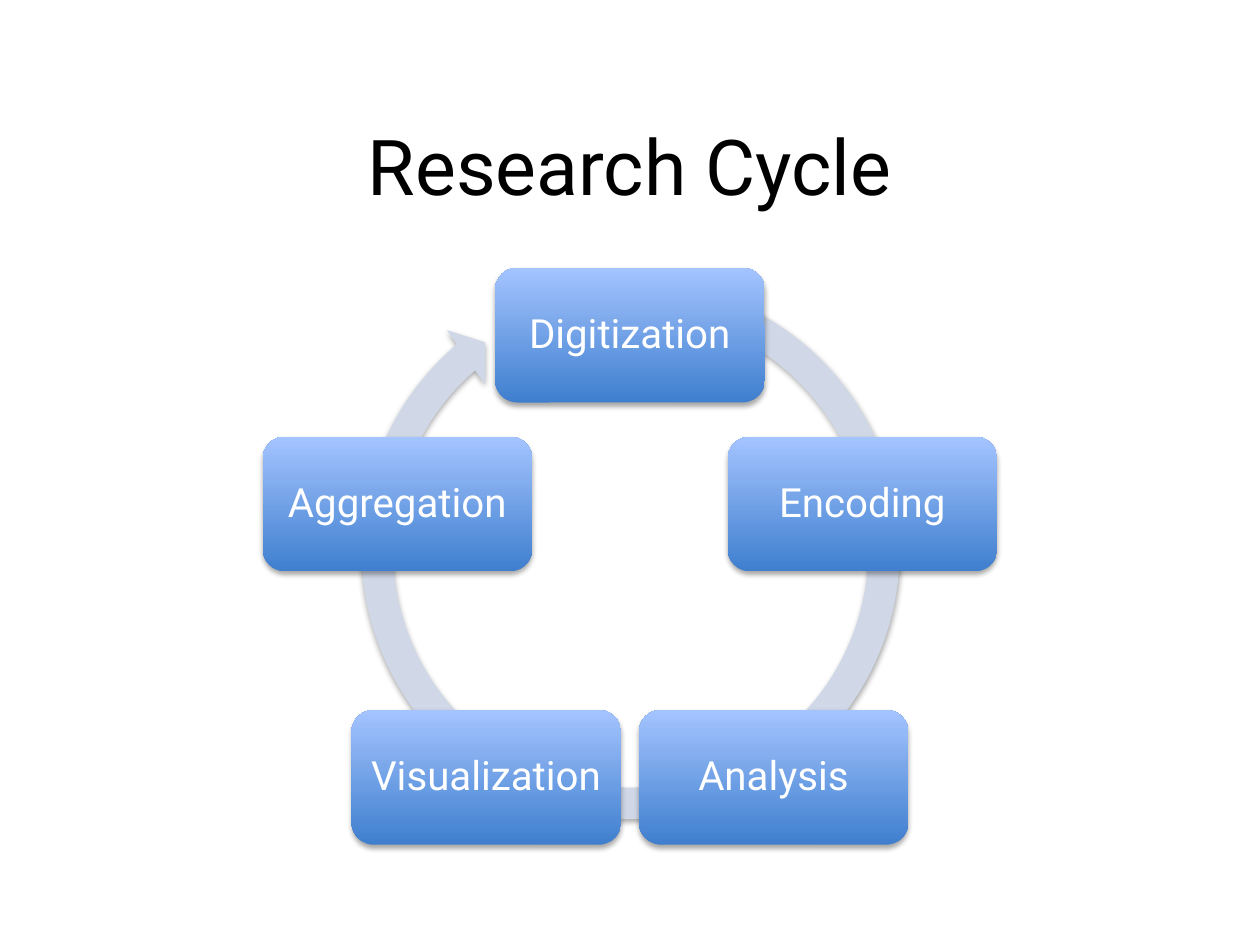
import math

import lxml.etree
import pptx
import pptx.dml.color
import pptx.enum.shapes
import pptx.enum.text
import pptx.oxml.ns
import pptx.util

Inches = pptx.util.Inches
SHAPE = pptx.enum.shapes.MSO_SHAPE
COLORS = {
    "title": "000000",
    "ring": "D0D8E8",
    "card_bottom": "3F7FCE",
    "card_top": "A4C4FF",
    "label": "FFFFFF",
    "shadow": "000000",
}
STEPS = ["Digitization", "Encoding", "Analysis", "Visualization", "Aggregation"]
CENTER_X, CENTER_Y, RADIUS = 5, 4.6, 1.94
CARD_W, CARD_H = 2.14, 1.07


def add_soft_shadow(shape):
    """Remove the outline and cast a faint shadow straight down."""
    shape.line.fill.background()
    shape.shadow.inherit = False
    effects = shape._element.spPr.find(pptx.oxml.ns.qn("a:effectLst"))
    shadow = lxml.etree.SubElement(effects, pptx.oxml.ns.qn("a:outerShdw"))
    settings = {"blurRad": pptx.util.Pt(3.1), "dist": pptx.util.Pt(1.8),
                "dir": 90 * 60000, "rotWithShape": 0}
    for key, value in settings.items():
        shadow.set(key, str(value))
    color = lxml.etree.SubElement(shadow, pptx.oxml.ns.qn("a:srgbClr"), val=COLORS["shadow"])
    lxml.etree.SubElement(color, pptx.oxml.ns.qn("a:alpha"), val="35000")


def write_centered(shape, text, size, color, line_spacing):
    frame = shape.text_frame
    frame_format = {
        "word_wrap": True,
        "vertical_anchor": pptx.enum.text.MSO_ANCHOR.MIDDLE,
        "margin_left": Inches(0.1),
        "margin_right": Inches(0.1),
        "margin_top": Inches(0.1),
        "margin_bottom": Inches(0.1),
    }
    for key, value in frame_format.items():
        setattr(frame, key, value)
    line = frame.paragraphs[0]
    line.alignment = pptx.enum.text.PP_ALIGN.CENTER
    line.line_spacing = line_spacing
    run = line.add_run()
    run.text = text
    for key, value in {"name": "Roboto", "size": pptx.util.Pt(size)}.items():
        setattr(run.font, key, value)
    run.font.color.rgb = pptx.dml.color.RGBColor.from_string(COLORS[color])


deck = pptx.Presentation()
deck.slide_width, deck.slide_height = Inches(10), Inches(7.5)
slide = deck.slides.add_slide(deck.slide_layouts[6])

title = slide.shapes.add_textbox(Inches(0.5), Inches(0.68), Inches(9), Inches(1.25))
write_centered(title, "Research Cycle", 44, "title", 1.0)

cycle = slide.shapes.add_group_shape()
ring = cycle.shapes.add_shape(
    SHAPE.CIRCULAR_ARROW, Inches(2.73), Inches(2.09), Inches(4.55), Inches(4.55))
for index, value in enumerate([0.055, 3.31, 137.69, 173.9, 0.058]):
    ring.adjustments[index] = value
ring.fill.solid()
ring.fill.fore_color.rgb = pptx.dml.color.RGBColor.from_string(COLORS["ring"])
add_soft_shadow(ring)

# The steps stand at equal angles, clockwise from the top.
for index, step in enumerate(STEPS):
    angle = 2 * math.pi * index / len(STEPS)
    left = CENTER_X + RADIUS * math.sin(angle) - CARD_W / 2
    top = CENTER_Y - RADIUS * math.cos(angle) - CARD_H / 2
    card = cycle.shapes.add_shape(
        SHAPE.ROUNDED_RECTANGLE, Inches(left), Inches(top), Inches(CARD_W), Inches(CARD_H))
    card.fill.gradient()
    card.fill.gradient_angle = 90
    for stop, name in zip(card.fill.gradient_stops, ["card_bottom", "card_top"]):
        stop.color.rgb = pptx.dml.color.RGBColor.from_string(COLORS[name])
    add_soft_shadow(card)
    write_centered(card, step, 23, "label", 0.9)

deck.save("out.pptx")
